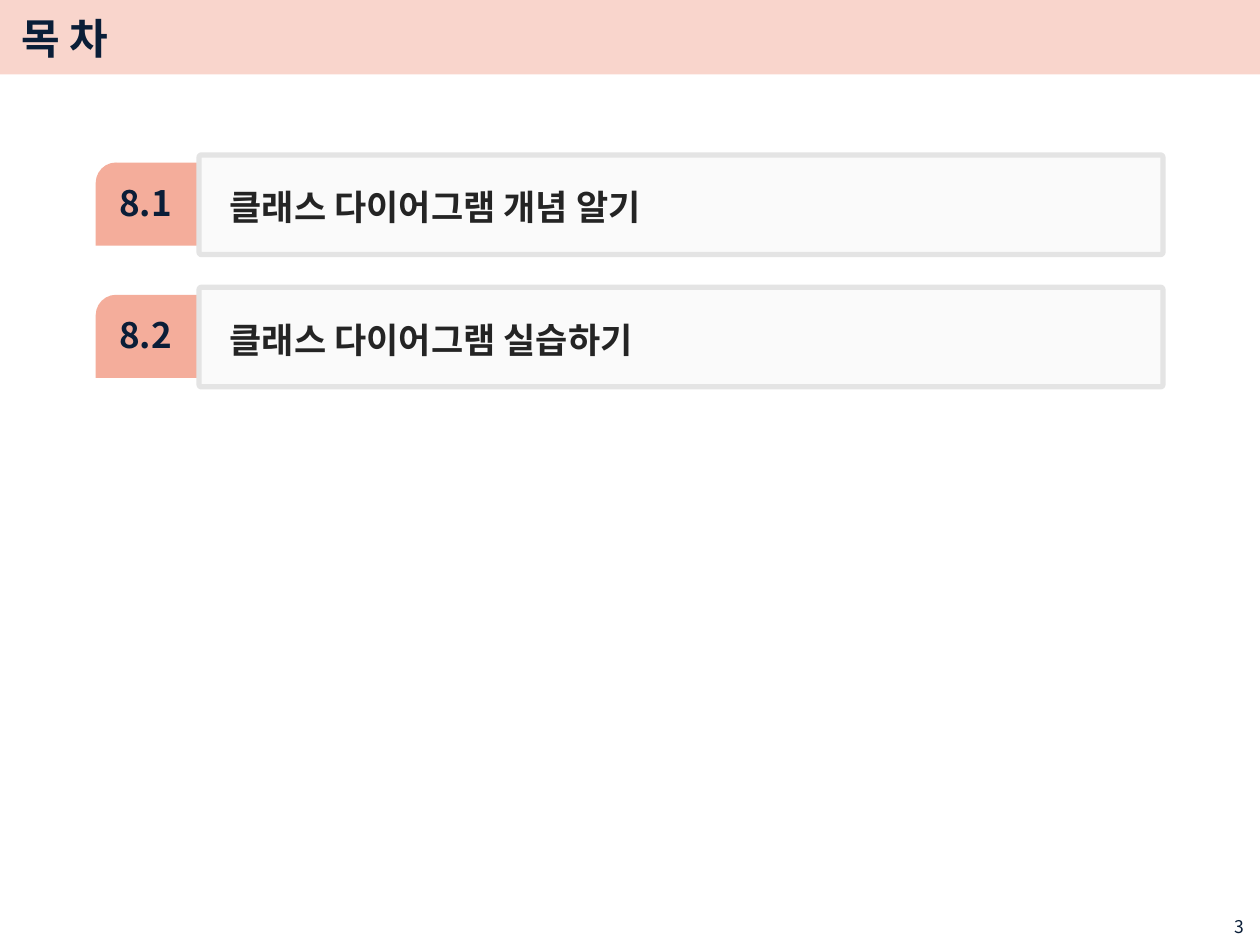
from lxml import etree
from pptx import Presentation, util as u
from pptx.dml.color import RGBColor
from pptx.enum import shapes, text
from pptx.oxml.ns import qn

CORAL = RGBColor(0xEE, 0x77, 0x59)
NAVY = RGBColor(0x0A, 0x1E, 0x38)
CHARCOAL = RGBColor(0x24, 0x24, 0x24)
PANEL = RGBColor(0xF2, 0xF2, 0xF2)
BORDER = RGBColor(0xE4, 0xE4, 0xE4)
FONT = "Noto Sans CJK KR"

TOPICS = ["클래스 다이어그램 개념 알기", "클래스 다이어그램 실습하기"]
FIRST_ROW, ROW_PITCH = 1.23, 1.05
TAG_LEFT, TAG_DROP = 0.76, 0.06
PANEL_LEFT = 1.58


def add_tinted(kind, box, color, opacity, adjustments=()):
    shape = slide.shapes.add_shape(kind, *map(u.Inches, box))
    shape.shadow.inherit = False
    shape.line.fill.background()
    shape.fill.solid()
    shape.fill.fore_color.rgb = color
    tint = shape.fill._xPr.find(qn("a:solidFill"))[0]
    etree.SubElement(tint, qn("a:alpha"), val=str(opacity * 1000))
    for i, value in enumerate(adjustments):
        shape.adjustments[i] = value
    return shape


def write(shape, words, size, color, bold=True, indent=(0, 0), frame_format=None, **paragraph_format):
    """Set one paragraph; indent is the left margin and first-line offset in inches."""
    frame = shape.text_frame
    defaults = {"word_wrap": True, "vertical_anchor": text.MSO_ANCHOR.MIDDLE}
    for key, value in {**defaults, **(frame_format or {})}.items():
        setattr(frame, key, value)
    paragraph = frame.paragraphs[0]
    for key, value in {"alignment": text.PP_ALIGN.LEFT, **paragraph_format}.items():
        setattr(paragraph, key, value)
    for key, value in zip(("marL", "indent"), indent):
        paragraph._p.get_or_add_pPr().set(key, str(u.Inches(value)))
    run = paragraph.add_run()
    run.text = words
    run.font.color.rgb = color
    for key, value in {"size": u.Pt(size), "bold": bold, "name": FONT}.items():
        setattr(run.font, key, value)
    etree.SubElement(run._r.get_or_add_rPr(), qn("a:ea"), typeface=FONT)


deck = Presentation()
deck.slide_width, deck.slide_height = u.Inches(10), u.Inches(7.5)
slide = deck.slides.add_slide(deck.slide_layouts[6])

add_tinted(shapes.MSO_SHAPE.RECTANGLE, (0, -0.02, 10, 0.61), CORAL, 30)

page_number = slide.shapes.add_textbox(*map(u.Inches, (9.05, 7.22, 0.92, 0.23)))
write(page_number, "3", 10, NAVY, bold=False, alignment=text.PP_ALIGN.RIGHT,
      frame_format={"vertical_anchor": text.MSO_ANCHOR.TOP})

heading = slide.shapes.add_textbox(*map(u.Inches, (0.07, 0.04, 8.51, 0.52)))
write(heading, "목 차", 24, NAVY)

for row, topic in enumerate(TOPICS):
    top = FIRST_ROW + row * ROW_PITCH
    tag = add_tinted(shapes.MSO_SHAPE.SNIP_ROUND_RECTANGLE,
                     (TAG_LEFT, top + TAG_DROP, 0.83, 0.66), CORAL, 60, (0.245, 0))
    write(tag, f"8.{row + 1}", 20, NAVY, indent=(0.04, 0),
          frame_format={"margin_top": 0, "margin_bottom": u.Inches(0.08)})

    panel = add_tinted(shapes.MSO_SHAPE.ROUNDED_RECTANGLE,
                       (PANEL_LEFT, top, 7.65, 0.79), PANEL, 33, (0.023,))
    panel.line.color.rgb = BORDER
    panel.line.width = u.Pt(3)
    write(panel, topic, 20, CHARCOAL, indent=(0.13, 0.01), line_spacing=1.1)

deck.save("out.pptx")
